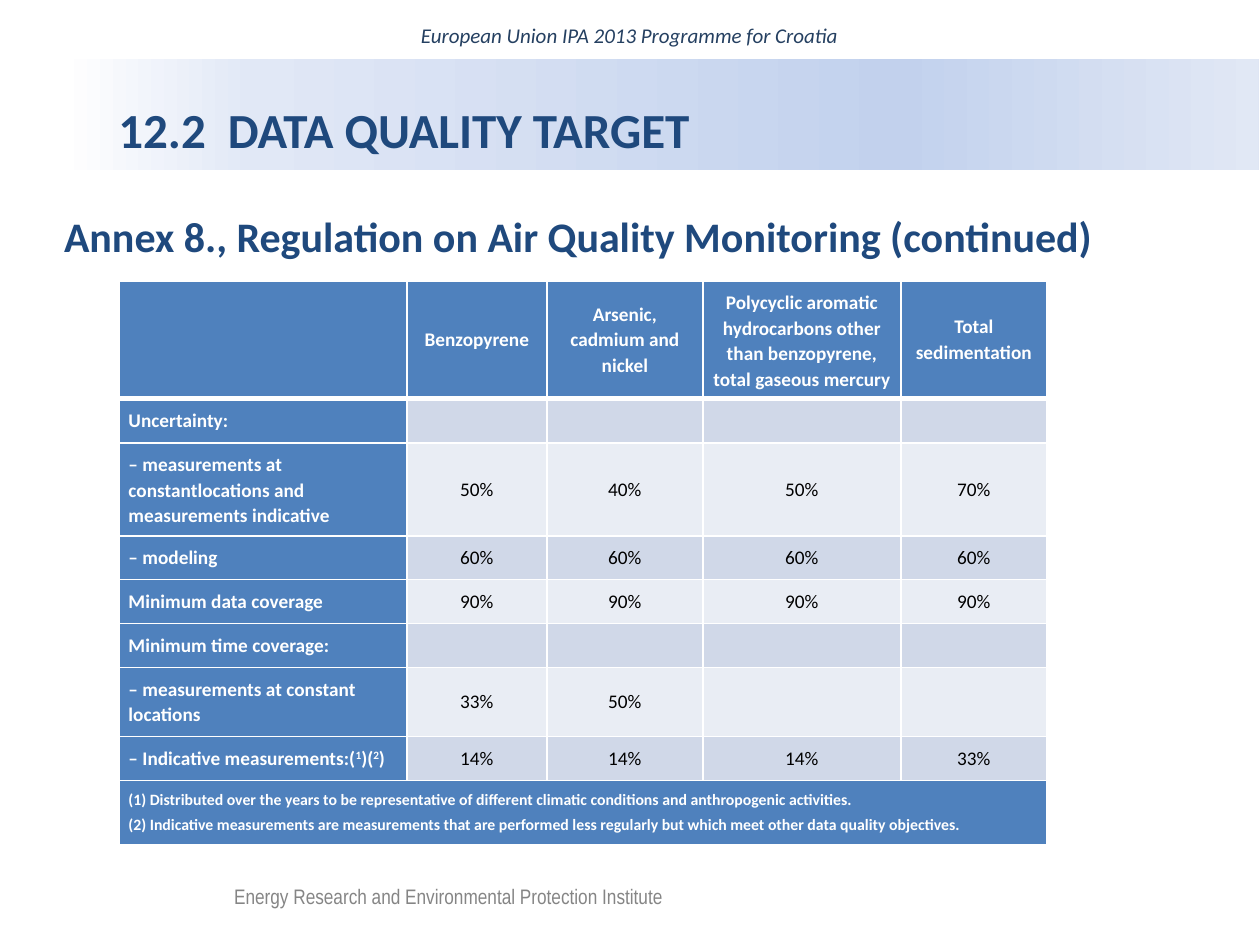
"""Build the slide on data quality targets for air quality monitoring."""
import lxml.etree
import pptx
import pptx.dml.color
import pptx.enum.shapes
import pptx.enum.text
import pptx.oxml
import pptx.oxml.ns
import pptx.util

Inches = pptx.util.Inches
Pt = pptx.util.Pt
RGBColor = pptx.dml.color.RGBColor
ALIGN = pptx.enum.text.PP_ALIGN
MIDDLE = pptx.enum.text.MSO_ANCHOR.MIDDLE
RECTANGLE = pptx.enum.shapes.MSO_SHAPE.RECTANGLE
qn = pptx.oxml.ns.qn

WHITE = RGBColor(0xFF, 0xFF, 0xFF)
BLACK = RGBColor(0x00, 0x00, 0x00)
NAVY = RGBColor(0x1F, 0x49, 0x7D)
DARK_BLUE = RGBColor(0x25, 0x40, 0x61)
BLUE = RGBColor(0x4F, 0x81, 0xBD)
BAND_DARK = RGBColor(0xD0, 0xD8, 0xE8)
BAND_LIGHT = RGBColor(0xE9, 0xED, 0xF4)
BANNER_STOPS = [
    (0, WHITE),
    (16, RGBColor(0xE1, 0xE8, 0xF6)),
    (70, RGBColor(0xC2, 0xD1, 0xED)),
    (100, RGBColor(0xE1, 0xE8, 0xF5)),
]


def write(para, text, color, layout, **style):
    """Add a run and apply its paragraph and font formats."""
    for name, value in layout.items():
        setattr(para, name, value)
    span = para.add_run()
    span.text = text
    span.font.color.rgb = color
    for name, value in ({"name": "Calibri"} | style).items():
        setattr(span.font, name, value)
    return span


def add_border(cell, sides):
    """Put white lines of the given point widths before the cell's fill."""
    for index, (side, width) in enumerate(sides.items()):
        line = lxml.etree.Element(qn(f"a:ln{side}"), w=str(Pt(width)))
        solid = lxml.etree.SubElement(line, qn("a:solidFill"))
        lxml.etree.SubElement(solid, qn("a:srgbClr"), val=str(WHITE))
        cell._tc.get_or_add_tcPr().insert(index, line)


deck = pptx.Presentation()
deck.slide_width, deck.slide_height = Inches(10), Inches(7.5)
page = deck.slides.add_slide(deck.slide_layouts[6])

banner = page.shapes.add_shape(RECTANGLE, Inches(0.49), Inches(0.47), Inches(9.5), Inches(0.88))
banner.shadow.inherit = False
banner.line.fill.background()
banner.fill.gradient()
banner.fill.gradient_angle = 0
stops = banner._element.spPr.find(qn("a:gradFill")).find(qn("a:gsLst"))
for stop in list(stops):
    stops.remove(stop)
for percent, color in BANNER_STOPS:
    stop = lxml.etree.SubElement(stops, qn("a:gs"), pos=str(percent * 1000))
    lxml.etree.SubElement(stop, qn("a:srgbClr"), val=str(color))
banner.text_frame.margin_left = Inches(0.45)
banner.text_frame.vertical_anchor = MIDDLE
write(banner.text_frame.paragraphs[0], "12.2  DATA QUALITY TARGET", NAVY,
      {"alignment": ALIGN.LEFT, "line_spacing": 1.5}, size=Pt(28), bold=True)

text_boxes = [
    ((0.41, 1.62, 8.95, 0.71), True, "Annex 8., Regulation on Air Quality Monitoring (continued)",
     NAVY, {}, {"size": Pt(24), "bold": True}),
    ((1.76, 6.96, 3.64, 0.3), False, "Energy Research and Environmental Protection Institute",
     BLACK, {}, {"size": Pt(12), "name": "Arial Narrow"}),
    ((0, 0.15, 9.99, 0.32), True, "European Union IPA 2013 Programme for Croatia",
     DARK_BLUE, {"alignment": ALIGN.CENTER, "line_spacing": 0.9}, {"size": Pt(12), "italic": True}),
]
for place, wrap, text, color, layout, style in text_boxes:
    box = page.shapes.add_textbox(*map(Inches, place))
    box.text_frame.word_wrap = wrap
    write(box.text_frame.paragraphs[0], text, color, layout, **style)

veil = page.shapes.add_shape(RECTANGLE, Inches(0.41), Inches(6.95), Inches(4.99), Inches(0.48))
veil.shadow.inherit = False
veil.line.fill.background()
veil.fill.solid()
veil.fill.fore_color.rgb = WHITE
veil_color = veil._element.spPr.find(qn("a:solidFill"))[0]
lxml.etree.SubElement(veil_color, qn("a:alpha"), val="52000")

rows = [
    ["", "Benzopyrene", "Arsenic, cadmium and nickel",
     "Polycyclic aromatic hydrocarbons other than benzopyrene, total gaseous mercury",
     "Total sedimentation"],
    ["Uncertainty:", "", "", "", ""],
    ["– measurements at constantlocations and measurements indicative", "50%", "40%", "50%", "70%"],
    ["– modeling", "60%", "60%", "60%", "60%"],
    ["Minimum data coverage", "90%", "90%", "90%", "90%"],
    ["Minimum time coverage:", "", "", "", ""],
    ["– measurements at constant locations", "33%", "50%", "", ""],
    ["– Indicative measurements:(|1|)(|2|)", "14%", "14%", "14%", "33%"],
    ["", "", "", "", ""],
]
footnotes = [
    "(1) Distributed over the years to be representative of different climatic conditions "
    "and anthropogenic activities.",
    "(2) Indicative measurements are measurements that are performed less regularly "
    "but which meet other data quality objectives.",
]
widths = [2.28, 1.11, 1.24, 1.57, 1.16]
heights = [0.93, 0.35, 0.74, 0.34, 0.35, 0.34, 0.55, 0.35, 0.5]
margins = {"margin_left": 0.07, "margin_right": 0.07, "margin_top": 0.07, "margin_bottom": 0.08}
last = len(rows) - 1

table = page.shapes.add_table(len(rows), len(widths), Inches(0.95), Inches(2.23),
                              Inches(sum(widths)), Inches(sum(heights))).table
for column, width in zip(table.columns, widths):
    column.width = Inches(width)
for row, height in zip(table.rows, heights):
    row.height = Inches(height)

for r, texts in enumerate(rows):
    for c, text in enumerate(texts):
        cell = table.cell(r, c)
        is_heading = r in (0, last) or c == 0
        cell.vertical_anchor = MIDDLE
        for name, value in margins.items():
            setattr(cell, name, Inches(value))
        cell.fill.solid()
        cell.fill.fore_color.rgb = BLUE if is_heading else BAND_DARK if r % 2 else BAND_LIGHT
        add_border(cell, {"L": 1, "R": 1, "T": 3 if r == 1 else 1, "B": 3 if r == 0 else 1})
        para = cell.text_frame.paragraphs[0]
        layout = {"alignment": ALIGN.CENTER if c else ALIGN.LEFT, "line_spacing": 1.07}
        if not text:
            lxml.etree.SubElement(para._p, qn("a:endParaRPr"), sz="900")
            continue
        for index, part in enumerate(text.split("|")):
            span = write(para, part, WHITE if is_heading else BLACK, layout,
                         size=Pt(11), bold=is_heading)
            if index % 2:
                span.font._element.set("baseline", "30000")

notes_cell = table.cell(last, 0)
notes_cell.merge(table.cell(last, len(widths) - 1))
notes_frame = notes_cell.text_frame
for index, text in enumerate(footnotes):
    para = notes_frame.add_paragraph() if index else notes_frame.paragraphs[0]
    write(para, text, WHITE, {"line_spacing": 1.07, "space_after": Pt(2.4)}, size=Pt(9), bold=True)

deck.save("out.pptx")
